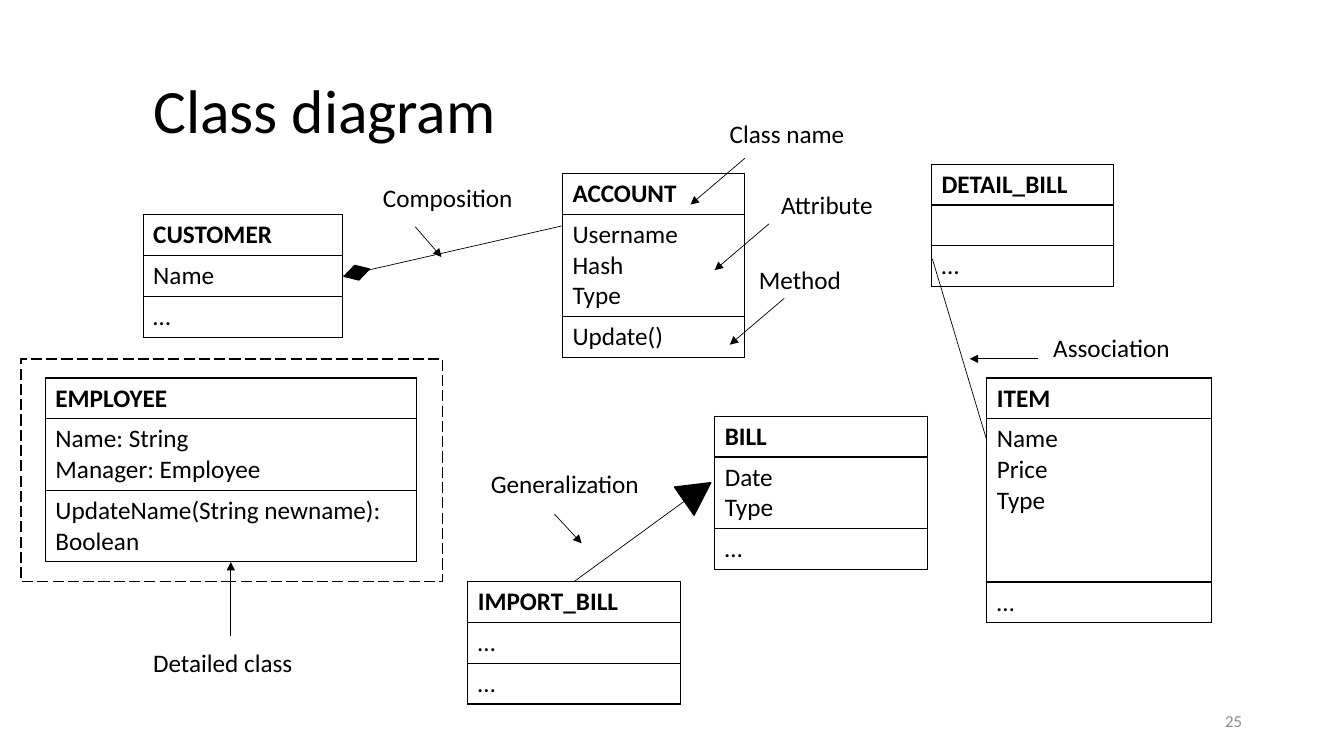
from lxml.etree import SubElement
from pptx import Presentation
from pptx.dml.color import RGBColor
from pptx.enum.dml import MSO_LINE_DASH_STYLE as Dash
from pptx.enum.shapes import MSO_CONNECTOR, MSO_SHAPE
from pptx.enum.text import MSO_ANCHOR, PP_ALIGN
from pptx.oxml.ns import qn
from pptx.util import Inches, Pt

# The slide is a grid of square cells, ten to the inch
COLUMNS, ROWS = 133.33, 75
BLACK, GREY = "000000", "8C8C8C"
TOP, LEFT, BOTTOM, RIGHT = range(4)


def cells(count):
    return Inches(count / 10)


def colour(hex_string):
    return RGBColor.from_string(hex_string)


def write(paragraph, words, size=18, shade=BLACK, bold=False):
    run = paragraph.add_run()
    run.text = words
    run.font.name, run.font.size, run.font.bold = "Calibri", Pt(size), bold
    run.font.color.rgb = colour(shade)


def text_box(slide, left, top, width, words, **style):
    box = slide.shapes.add_textbox(*map(cells, (left, top, width, 4)))
    box.text_frame.word_wrap = True
    write(box.text_frame.paragraphs[0], words, **style)
    return box


def line(slide, start, end, arrow=False):
    link = slide.shapes.add_connector(
        MSO_CONNECTOR.STRAIGHT, *map(cells, (*start, *end)))
    link.line.color.rgb = colour(BLACK)
    link.line.width = Pt(0.5)
    properties = link._element.spPr
    if arrow:
        SubElement(properties.find(qn("a:ln")), qn("a:tailEnd"), type="triangle")
    SubElement(properties, qn("a:effectLst"))
    return link


def outline(slide, kind, left, top, width, height, turn=0, filled=True):
    shape = slide.shapes.add_shape(kind, *map(cells, (left, top, width, height)))
    shape.shadow.inherit = False
    shape.rotation = turn
    if filled:
        shape.fill.solid()
        shape.fill.fore_color.rgb = colour(BLACK)
    else:
        shape.fill.background()
    shape.line.color.rgb = colour(BLACK)
    shape.line.width = Pt(1)
    return shape


def add_borders(cell):
    properties = cell._tc.get_or_add_tcPr()
    for side in ("lnL", "lnR", "lnT", "lnB"):
        border = SubElement(properties, qn(f"a:{side}"), w=str(Pt(1)))
        solid = SubElement(border, qn("a:solidFill"))
        SubElement(solid, qn("a:srgbClr"), val=BLACK)


def class_table(slide, left, top, width, name, attributes, methods, heights=None):
    """A class with its name, attributes and methods in three rows."""
    sections = [[name], attributes, methods]
    heights = heights or [1 + 3.05 * len(section) for section in sections]
    frame = slide.shapes.add_table(
        3, 1, *map(cells, (left, top, width, sum(heights))))
    table = frame.table
    table.first_row = table.horz_banding = False
    for index, (section, height) in enumerate(zip(sections, heights)):
        table.rows[index].height = cells(height)
        cell = table.cell(index, 0)
        add_borders(cell)
        cell.fill.background()
        for number, words in enumerate(section):
            body = cell.text_frame
            paragraph = body.add_paragraph() if number else body.paragraphs[0]
            if words:
                write(paragraph, words, bold=index == 0)
    return frame


def note(slide, left, top, width, words, start, reach):
    """A label and its arrow, which starts at an offset from the label."""
    text_box(slide, left, top, width, words)
    x, y = left + start[0], top + start[1]
    return line(slide, (x, y), (x + reach[0], y + reach[1]), arrow=True)


def heading(slide, left, top, width, height):
    title = slide.shapes.title
    title.left, title.top, title.width, title.height = map(
        cells, (left, top, width, height))
    title.text_frame.vertical_anchor = MSO_ANCHOR.MIDDLE
    title.text_frame.word_wrap = True
    paragraph = title.text_frame.paragraphs[0]
    paragraph.alignment, paragraph.line_spacing = PP_ALIGN.LEFT, 0.9
    write(paragraph, "Class diagram", size=44)


def accounts(slide, left, top):
    # Classes
    customer = class_table(slide, left, top + 10.1, 19.8, "CUSTOMER", ["Name"], ["…"])
    class_table(slide, left + 41.6, top + 6, 18.1, "ACCOUNT",
                ["Username", "Hash", "Type"], ["Update()"])
    # Parts of a class
    for x, y, width, words, start in (
            (57.2, 0, 14.9, "Class name", (2.5, 4.5)),
            (62.3, 7.1, 14.9, "Attribute", (-0.2, 3.9)),
            (60.1, 14.5, 13.1, "Method", (3.5, 3.9))):
        note(slide, left + x, top + y, width, words, start, (-5.4, 4.6))
    # Composition
    composition = line(slide, (left + 41.6, top + 11.2), (left + 19.8, top + 16.1))
    composition.end_connect(customer, RIGHT)
    outline(slide, MSO_SHAPE.FLOWCHART_DECISION,
            left + 19.9, top + 15.1, 2.6, 1.5, turn=343.7)
    note(slide, left + 22.8, top + 6.4, 14.9, "Composition", (4.2, 4.9), (2.6, 3))


def bills(slide, left, top):
    # Classes
    class_table(slide, left + 24.5, top + 25, 21.1, "BILL", ["Date", "Type"], ["…"])
    class_table(slide, left + 46, top, 18.1, "DETAIL_BILL", [""], ["…"])
    class_table(slide, left + 51.5, top + 21.2, 22.3, "ITEM",
                ["Name", "Price", "Type"], ["…"], heights=(4.05, 16.2, 4.05))
    import_bill = class_table(slide, left, top + 41.4, 21.1, "IMPORT_BILL", ["…"], ["…"])
    # Generalization
    generalization = line(slide, (left + 24, top + 31.6), (left + 10.6, top + 41.4))
    generalization.end_connect(import_bill, TOP)
    outline(slide, MSO_SHAPE.ISOSCELES_TRIANGLE,
            left + 21.1, top + 30.9, 3.4, 3.2, turn=55.2)
    note(slide, left + 1.3, top + 29.7, 18.1, "Generalization", (7.3, 5), (2.7, 2.9))
    # Association
    line(slide, (left + 46.1, top + 9.4), (left + 51.5, top + 27.4))
    note(slide, left + 57.1, top + 16.2, 14.9, "Association", (-0.5, 3.1), (-6.8, 0))


def employees(slide, left, top, width, height):
    employee = class_table(
        slide, left + 2.4, top + 1.9, width - 5, "EMPLOYEE",
        ["Name: String", "Manager: Employee"],
        ["UpdateName(String newname): Boolean"], heights=(4.05, 7.1, 7.1))
    frame = outline(slide, MSO_SHAPE.RECTANGLE, left, top, width, height, filled=False)
    frame.line.dash_style = Dash.LONG_DASH
    detail = note(slide, left + 12.1, top + 28.1, 18.1, "Detailed class",
                  (8.7, -0.6), (0, -7.6))
    detail.end_connect(employee, BOTTOM)


def page_number(slide, left, top, width):
    number = text_box(slide, left, top, width, "25", size=12, shade=GREY)
    number.text_frame.vertical_anchor = MSO_ANCHOR.MIDDLE
    number.text_frame.paragraphs[0].alignment = PP_ALIGN.RIGHT


def main():
    deck = Presentation()
    deck.slide_width, deck.slide_height = cells(COLUMNS), cells(ROWS)
    slide = deck.slides.add_slide(deck.slide_layouts[5])
    heading(slide, 14.2, 4, 103.4, 14.5)
    accounts(slide, 14.2, 11.2)
    bills(slide, 46.4, 16.3)
    employees(slide, 2.1, 35.6, 41.8, 22.1)
    page_number(slide, 94.2, 69.5, 30)
    deck.save("out.pptx")


if __name__ == "__main__":
    main()
